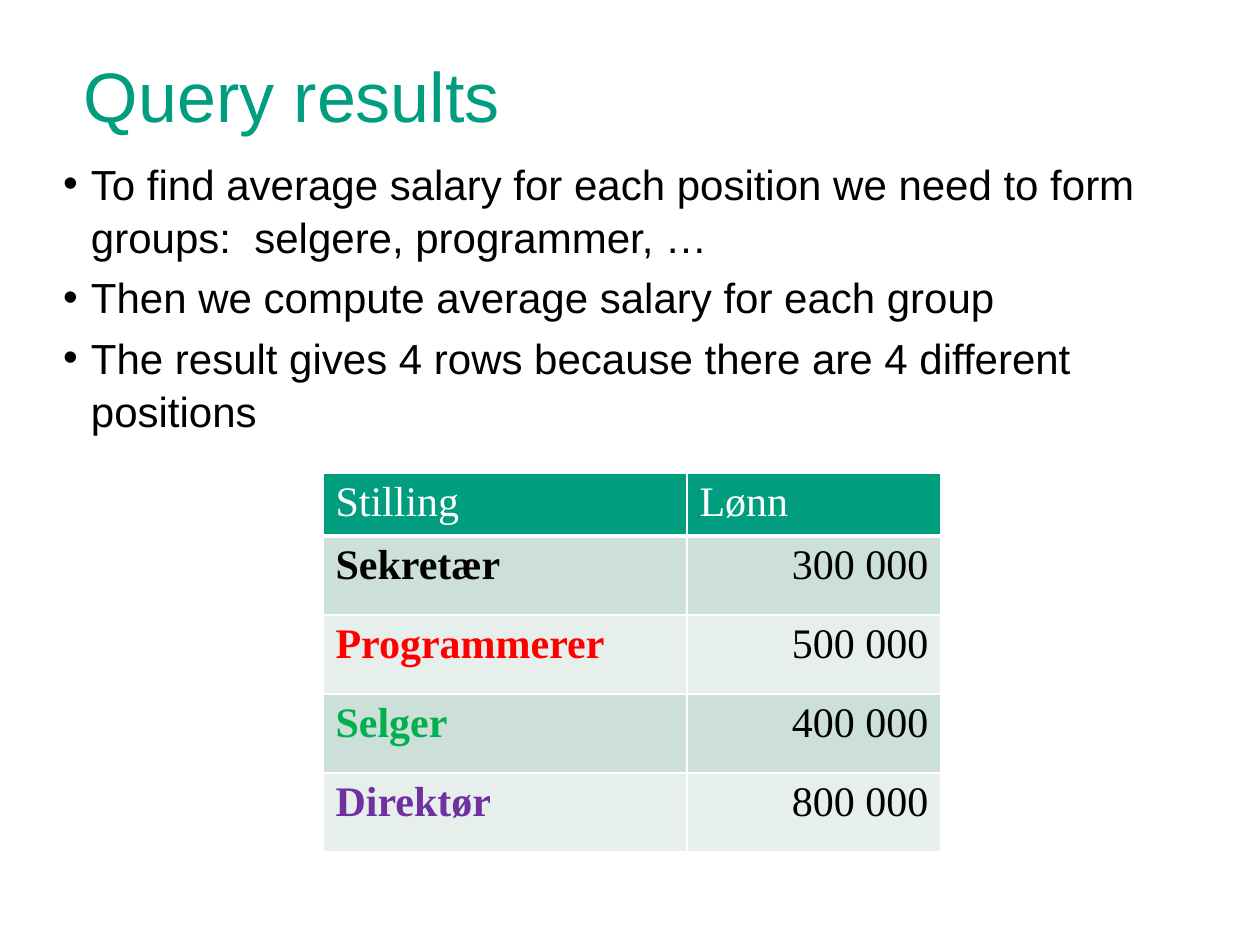
"""Build the query results slide with its bullets and salary table."""
import pptx
import pptx.dml.color
import pptx.enum.text
import pptx.oxml
import pptx.oxml.ns
import pptx.util

COLORS = {"green": "009D7F", "black": "000000", "white": "FFFFFF",
          "red": "FF0000", "lime": "00B050", "purple": "7030A0",
          "dark_band": "CCDFD8", "light_band": "E7EFEC"}
TITLE = "Query results"
BULLETS = [
    "To find average salary for each position we need to form groups:  selgere, programmer, …",
    "Then we compute average salary for each group",
    "The result gives 4 rows because there are 4 different positions",
]
HEADER = ("Stilling", "Lønn")
SALARIES = [
    ("Sekretær", "300 000", "black"),
    ("Programmerer", "500 000", "red"),
    ("Selger", "400 000", "lime"),
    ("Direktør", "800 000", "purple"),
]
COLUMN_WIDTHS = (364, 254)
HEADER_HEIGHT, ROW_HEIGHT = 58, 79
ALIGN = pptx.enum.text.PP_ALIGN
ANCHOR = pptx.enum.text.MSO_ANCHOR


def px(length):
    return pptx.util.Emu(round(length * 914400 / 126))


def rgb(name):
    return pptx.dml.color.RGBColor.from_string(COLORS[name])


def write(para, text, size=24, font="Arial", color="black", bold=False, align=ALIGN.LEFT):
    para.alignment = align
    span = para.add_run()
    span.text = text
    span.font.size = pptx.util.Pt(size)
    span.font.name = font
    span.font.bold = bold
    span.font.color.rgb = rgb(color)


def add_box(page, left, top, width, height, anchor):
    box = page.shapes.add_textbox(px(left), px(top), px(width), px(height))
    frame = box.text_frame
    frame.word_wrap = True
    frame.vertical_anchor = anchor
    frame.margin_left = frame.margin_right = frame.margin_top = frame.margin_bottom = 0
    return frame


def add_bullet(para, indent):
    properties = para._p.get_or_add_pPr()
    properties.set("marL", str(px(indent)))
    properties.set("indent", str(-px(indent)))
    namespace = pptx.oxml.ns.nsdecls("a")
    properties.append(pptx.oxml.parse_xml(f'<a:buFont {namespace} typeface="Arial"/>'))
    properties.append(pptx.oxml.parse_xml(f'<a:buChar {namespace} char="•"/>'))


def style_cell(cell, fill, bottom=1):
    properties = cell._tc.get_or_add_tcPr()
    for side, width in (("L", 1), ("R", 1), ("T", 1), ("B", bottom)):
        properties.append(pptx.oxml.parse_xml(
            f'<a:ln{side} {pptx.oxml.ns.nsdecls("a")} w="{pptx.util.Pt(width)}">'
            f'<a:solidFill><a:srgbClr val="{COLORS["white"]}"/></a:solidFill></a:ln{side}>'))
    cell.fill.solid()
    cell.fill.fore_color.rgb = rgb(fill)


def add_salary_table(page, left, top):
    height = HEADER_HEIGHT + ROW_HEIGHT * len(SALARIES)
    table = page.shapes.add_table(len(SALARIES) + 1, len(HEADER), px(left), px(top),
                                  px(sum(COLUMN_WIDTHS)), px(height)).table
    for column, width in zip(table.columns, COLUMN_WIDTHS):
        column.width = px(width)
    for number, row in enumerate(table.rows):
        row.height = px(ROW_HEIGHT if number else HEADER_HEIGHT)
    for column, text in enumerate(HEADER):
        cell = table.cell(0, column)
        style_cell(cell, "green", bottom=3)
        write(cell.text_frame.paragraphs[0], text, font="Times New Roman", color="white")
    for number, (position, salary, color) in enumerate(SALARIES, 1):
        formats = ((position, {"color": color, "bold": True}),
                   (salary, {"align": ALIGN.RIGHT}))
        for column, (text, style) in enumerate(formats):
            cell = table.cell(number, column)
            style_cell(cell, "dark_band" if number % 2 else "light_band")
            write(cell.text_frame.paragraphs[0], text, font="Times New Roman", **style)


def main():
    deck = pptx.Presentation()
    deck.slide_width, deck.slide_height = px(1260), px(945)
    page = deck.slides.add_slide(deck.slide_layouts[6])
    title = add_box(page, 84, 53, 940, 84, ANCHOR.BOTTOM)
    write(title.paragraphs[0], TITLE, size=40, color="green")
    body = add_box(page, 63, 155, 1153, 258, ANCHOR.TOP)
    for number, text in enumerate(BULLETS):
        para = body.add_paragraph() if number else body.paragraphs[0]
        write(para, text)
        para.line_spacing = 1.06
        para.space_before = pptx.util.Pt(4)
        add_bullet(para, 28)
    add_salary_table(page, 323, 473)
    deck.save("out.pptx")


if __name__ == "__main__":
    main()
